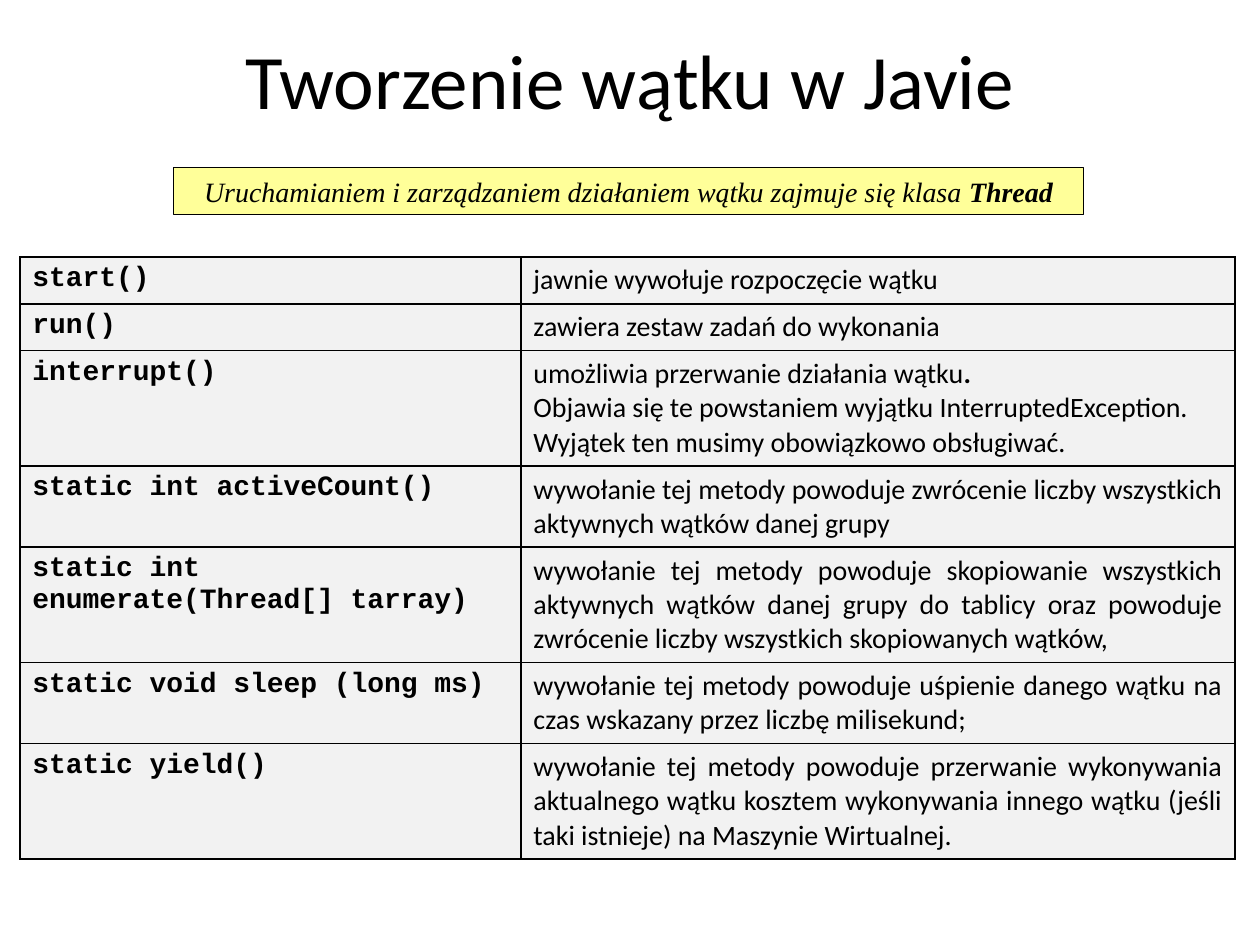
from dataclasses import dataclass

from lxml.etree import SubElement
from pptx import Presentation
from pptx.dml.color import RGBColor
from pptx.enum.shapes import MSO_SHAPE as Shape
from pptx.enum.text import MSO_ANCHOR as Anchor, PP_ALIGN as Align
from pptx.oxml.ns import qn
from pptx.util import Cm, Pt

COLORS = {"ink": "000000", "banner": "FFFF99", "cell": "F2F2F2"}
BODY_SIZE = 16
HANGING_INDENT = Cm(0.97)
COLUMN_WIDTHS = (10.1, 14.4)
THREAD_CALL = "wywołanie tej metody powoduje "


@dataclass(frozen=True)
class Method:
    signature: tuple[str, ...]
    description: tuple[str, ...]
    height: float
    bold_ending: str = ""  # closes the first line of the description


METHODS = (
    Method(("start()",), ("jawnie wywołuje rozpoczęcie wątku",), 0.94),
    Method(("run()",), ("zawiera zestaw zadań do wykonania",), 0.94),
    Method(
        ("interrupt()",),
        ("umożliwia przerwanie działania wątku",
         "Objawia się te powstaniem wyjątku InterruptedException.",
         "Wyjątek ten musimy obowiązkowo obsługiwać."),
        2.24, bold_ending="."),
    Method(
        ("static int activeCount()",),
        (THREAD_CALL + "zwrócenie liczby wszystkich aktywnych wątków danej grupy",),
        1.52),
    Method(
        ("static int", "enumerate(Thread[] tarray)"),
        (THREAD_CALL + "skopiowanie wszystkich aktywnych wątków danej grupy do "
         "tablicy oraz powoduje zwrócenie liczby wszystkich skopiowanych wątków,",),
        2.13),
    Method(
        ("static void sleep (long ms)",),
        (THREAD_CALL + "uśpienie danego wątku na czas wskazany przez liczbę "
         "milisekund;",),
        1.52),
    Method(
        ("static yield()",),
        (THREAD_CALL + "przerwanie wykonywania aktualnego wątku kosztem "
         "wykonywania innego wątku (jeśli taki istnieje) na Maszynie Wirtualnej.",),
        2.13),
)


def color(key: str) -> RGBColor:
    return RGBColor.from_string(COLORS[key])


def style_runs(paragraph, font_name: str, size: float = BODY_SIZE,
               bold: bool = False, italic: bool = False) -> None:
    for run in paragraph.runs:
        font = run.font
        font.name, font.size = font_name, Pt(size)
        font.bold, font.italic = bold, italic
        font.color.rgb = color("ink")


def add_bold_ending(paragraph, ending: str, font_name: str,
                    italic: bool = False) -> None:
    paragraph.add_run().text = ending
    style_runs(paragraph, font_name, italic=italic)
    paragraph.runs[-1].font.bold = True


def add_title(slide, wording: str) -> None:
    title = slide.shapes.title
    title.left, title.top = Cm(1.9), Cm(0)
    title.width, title.height = Cm(21.6), Cm(3.18)
    frame = title.text_frame
    frame.text = wording
    frame.vertical_anchor = Anchor.MIDDLE
    frame.paragraphs[0].alignment = Align.CENTER
    style_runs(frame.paragraphs[0], "Calibri", 44)


def add_banner(slide, wording: str, class_name: str) -> None:
    banner = slide.shapes.add_shape(
        Shape.RECTANGLE, Cm(3.5), Cm(3.38), Cm(18.34), Cm(0.94))
    banner.shadow.inherit = False
    banner.fill.solid()
    banner.fill.fore_color.rgb = color("banner")
    banner.line.color.rgb = color("ink")
    banner.line.width = Pt(0.75)
    frame = banner.text_frame
    frame.text = wording
    frame.vertical_anchor = Anchor.MIDDLE
    paragraph = frame.paragraphs[0]
    paragraph.alignment = Align.CENTER
    add_bold_ending(paragraph, class_name, "Times New Roman", italic=True)


def style_cell(cell) -> None:
    """Border the cell, then fill it: the schema wants the lines first."""
    properties = cell._tc.get_or_add_tcPr()
    for side in ("lnL", "lnR", "lnT", "lnB"):
        border = SubElement(properties, qn(f"a:{side}"), w=str(Pt(1)))
        fill = SubElement(border, qn("a:solidFill"))
        SubElement(fill, qn("a:srgbClr"), val=COLORS["ink"])
    cell.fill.solid()
    cell.fill.fore_color.rgb = color("cell")


def write_cell(cell, lines: tuple[str, ...], font_name: str,
               bold: bool = False) -> None:
    style_cell(cell)
    cell.text_frame.text = "\n".join(lines)
    for paragraph in cell.text_frame.paragraphs:
        paragraph.alignment = Align.JUSTIFY
        style_runs(paragraph, font_name, bold=bold)


def hang_lines(cell) -> None:
    for paragraph in cell.text_frame.paragraphs:
        properties = paragraph._p.get_or_add_pPr()
        properties.set("marL", str(HANGING_INDENT))
        properties.set("indent", str(-HANGING_INDENT))


def add_method_table(slide, methods: tuple[Method, ...]) -> None:
    table = slide.shapes.add_table(
        len(methods), len(COLUMN_WIDTHS), Cm(0.4), Cm(5.18),
        Cm(sum(COLUMN_WIDTHS)), Cm(sum(m.height for m in methods))).table
    table.first_row = table.horz_banding = False
    for column, width in zip(table.columns, COLUMN_WIDTHS):
        column.width = Cm(width)
    for row, method in zip(table.rows, methods):
        row.height = Cm(method.height)
        signature, description = row.cells
        write_cell(signature, method.signature, "Courier New", bold=True)
        hang_lines(signature)
        write_cell(description, method.description, "Calibri")
        if method.bold_ending:
            add_bold_ending(description.text_frame.paragraphs[0],
                            method.bold_ending, "Calibri")


def main() -> None:
    deck = Presentation()
    deck.slide_width, deck.slide_height = Cm(25.4), Cm(19.05)
    slide = deck.slides.add_slide(deck.slide_layouts.get_by_name("Title Only"))
    add_title(slide, "Tworzenie wątku w Javie")
    add_banner(slide, "Uruchamianiem i zarządzaniem działaniem wątku zajmuje się "
               "klasa ", "Thread")
    add_method_table(slide, METHODS)
    deck.save("out.pptx")


if __name__ == "__main__":
    main()
